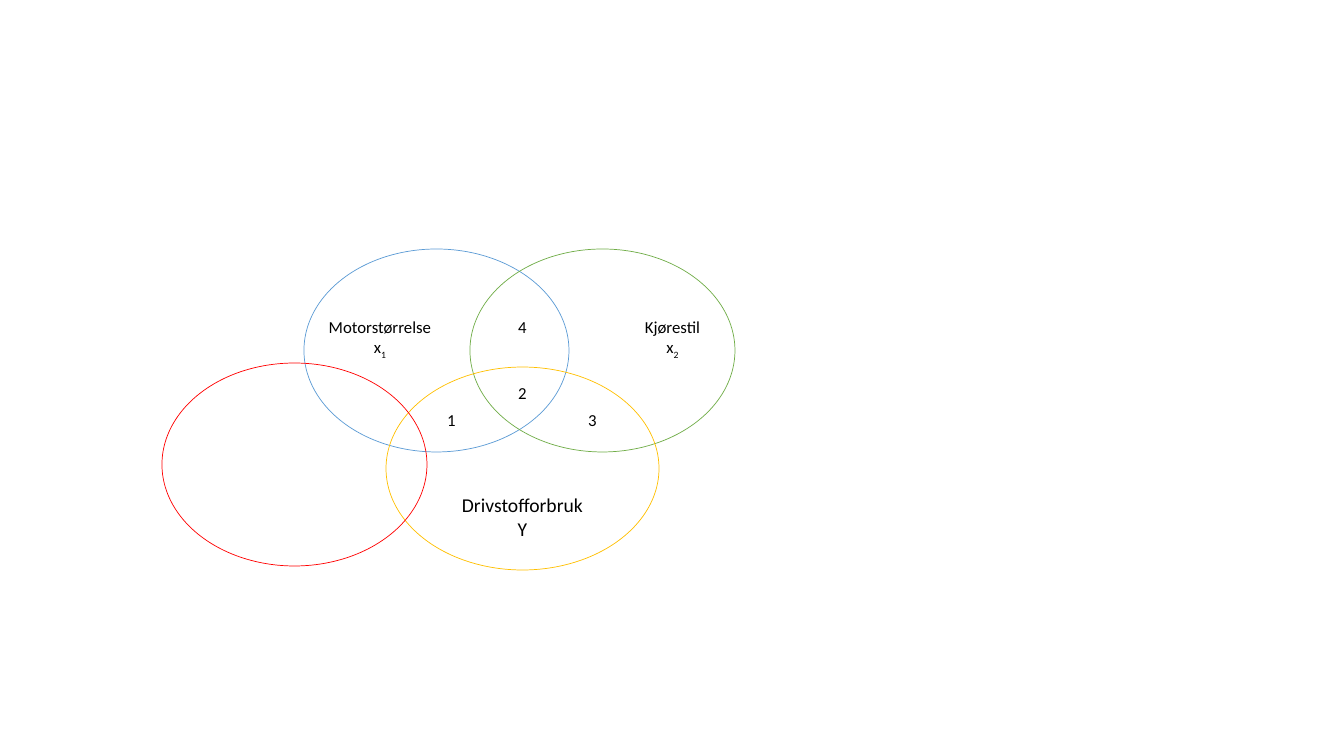
from pptx import Presentation
from pptx.dml.color import RGBColor
from pptx.enum.shapes import MSO_SHAPE
from pptx.enum.text import MSO_ANCHOR, MSO_AUTO_SIZE, PP_ALIGN
from pptx.util import Emu, Pt

EMU_PER_PIXEL = 12192000 / 1344
CIRCLE_WIDTH, CIRCLE_HEIGHT = 265, 203


def px(length):
    """Turn pixels into EMU."""
    return Emu(round(length * EMU_PER_PIXEL))


def color(value):
    """Turn a hex string into a colour."""
    return RGBColor.from_string(value)


def write_text(frame, lines, size=12, font="Calibri", fill="000000"):
    """Write centred lines, each a (text, subscript) pair."""
    for index, line in enumerate(lines):
        para = frame.paragraphs[0] if index == 0 else frame.add_paragraph()
        para.alignment = PP_ALIGN.CENTER
        for text, baseline in zip(line, (None, "-25000")):
            if not text:
                continue
            span = para.add_run()
            span.text = text
            span.font.size = Pt(size)
            span.font.name = font
            span.font.color.rgb = color(fill)
            if baseline:
                span._r.get_or_add_rPr().set("baseline", baseline)


def add_circle(page, left, top, outline, width=CIRCLE_WIDTH):
    """Add one unfilled set of the Venn diagram."""
    circle = page.shapes.add_shape(
        MSO_SHAPE.OVAL, px(left), px(top), px(width), px(CIRCLE_HEIGHT))
    circle.shadow.inherit = False
    circle.fill.background()
    circle.line.color.rgb = color(outline)
    circle.line.width = Pt(0.5)
    return circle


def add_label(page, left, top, width, height, lines, wrap=False):
    """Add a text box that labels a set or an overlap."""
    box = page.shapes.add_textbox(px(left), px(top), px(width), px(height))
    frame = box.text_frame
    frame.word_wrap = wrap
    frame.auto_size = MSO_AUTO_SIZE.SHAPE_TO_FIT_TEXT
    write_text(frame, lines)


def main():
    """Build the Venn diagram slide."""
    deck = Presentation()
    deck.slide_width, deck.slide_height = px(1344), px(756)
    page = deck.slides.add_slide(deck.slide_layouts[6])

    add_circle(page, 304, 249, "5B9BD5")
    add_circle(page, 470, 249, "70AD47")
    consumption = add_circle(page, 386, 367, "FFC000", width=273)
    frame = consumption.text_frame
    frame.vertical_anchor = MSO_ANCHOR.BOTTOM
    frame.margin_bottom = 0
    write_text(frame, [("Drivstofforbruk", ""), ("Y", "")], size=14)

    add_label(page, 316, 312, 128, 50,
              [("Motorstørrelse", ""), ("x", "1")], wrap=True)
    add_label(page, 634, 312, 77, 50, [("Kjørestil", ""), ("x", "2")])
    overlaps = [("1", 437, 405), ("2", 508, 378),
                ("3", 578, 405), ("4", 508, 312)]
    for number, left, top in overlaps:
        add_label(page, left, top, 29, 30, [(number, "")])

    add_circle(page, 162, 363, "FF0000")
    deck.save("out.pptx")


if __name__ == "__main__":
    main()
